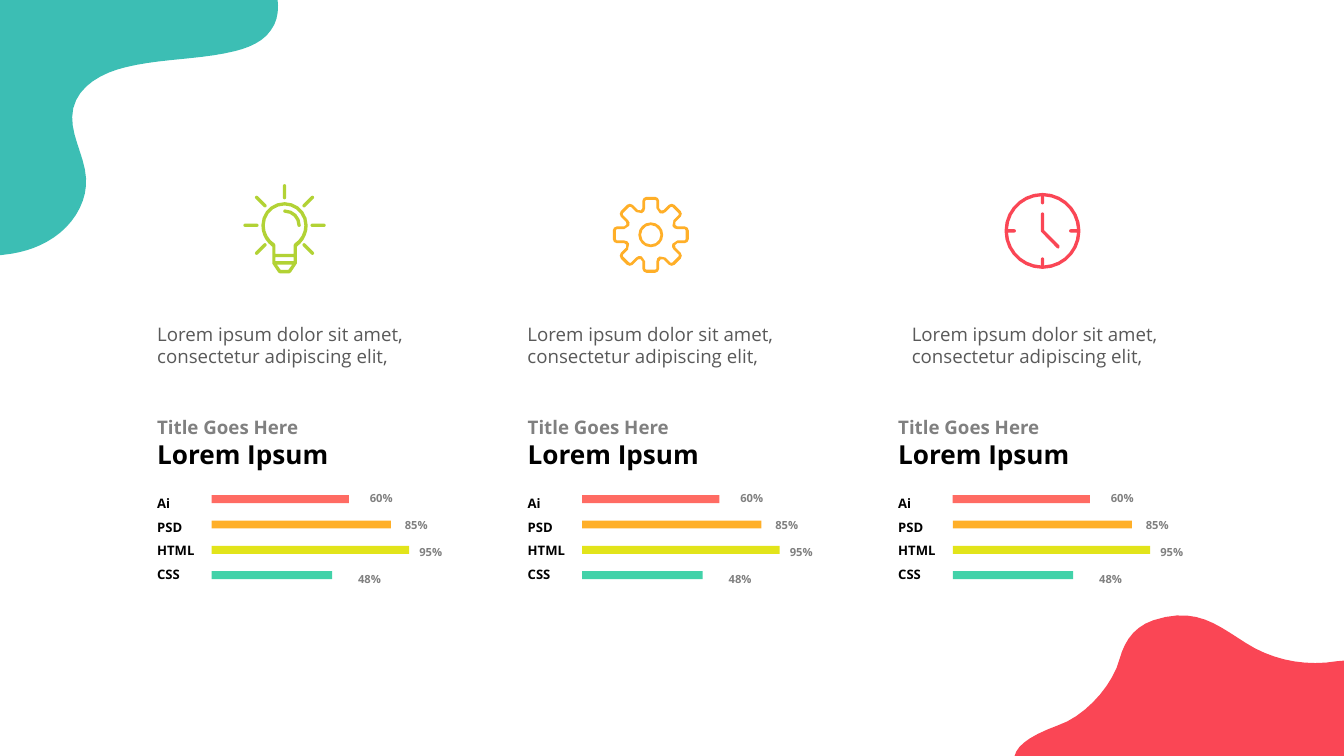
"""Build a slide with three icon columns, skill bars and two corner blobs."""
from dataclasses import dataclass
from math import cos, dist, radians, sin, sqrt

from pptx import Presentation
from pptx import util as u
from pptx.dml.color import RGBColor
from pptx.enum import shapes, text

Point = tuple[float, float]
Segment = tuple[float, ...]

FONT = "Open Sans"
BLACK = RGBColor(0x00, 0x00, 0x00)
GRAY = RGBColor(0x80, 0x80, 0x80)
DARK_GRAY = RGBColor(0x59, 0x59, 0x59)
CORAL = RGBColor(0xFF, 0x6B, 0x63)
ORANGE = RGBColor(0xFF, 0xAF, 0x28)
YELLOW = RGBColor(0xE2, 0xE4, 0x1A)
MINT = RGBColor(0x42, 0xD2, 0xA9)
LIME = RGBColor(0xB2, 0xD2, 0x35)
RED = RGBColor(0xFA, 0x46, 0x55)
TEAL = RGBColor(0x3C, 0xBE, 0xB4)


@dataclass(frozen=True)
class Line:
    text: str
    size: float
    color: RGBColor
    bold: bool = True
    indent: float = 0


@dataclass(frozen=True)
class Skill:
    name: str
    percent: str
    bar_width: float
    indent: float
    color: RGBColor


@dataclass(frozen=True)
class Outline:
    center: Point
    color: RGBColor
    contours: list[list[Point]]


SKILLS = [
    Skill("Ai", "60%", 147, 12.5, CORAL),
    Skill("PSD", "85%", 192, 50, ORANGE),
    Skill("HTML", "95%", 211.5, 65.5, YELLOW),
    Skill("CSS", "48%", 129, 0, MINT),
]
COLUMN_LEFT, COLUMN_STEP = 161.3, 397
BODY_LEFTS = [161.3, 558, 969.8]
BAR_TOP, BAR_STEP, BAR_HEIGHT = 530.6, 27.1, 8.6


def flatten(path: list[Segment]) -> list[Point]:
    """Turn points and cubic segments into a chain of points."""
    points = [path[0]]
    for segment in path[1:]:
        if len(segment) == 2:
            points.append(segment)
            continue
        nodes = [points[-1], segment[:2], segment[2:4], segment[4:]]
        steps = max(1, int(sqrt(dist(nodes[0], nodes[3]))))
        for step in range(1, steps + 1):
            t = step / steps
            weights = ((1 - t) ** 3, 3 * t * (1 - t) ** 2, 3 * t * t * (1 - t), t ** 3)
            points.append(tuple(sum(w * node[axis] for w, node in zip(weights, nodes))
                                for axis in (0, 1)))
    return points


def rotated(path: list[Segment], count: int) -> list[Point]:
    """Repeat a path counterclockwise around the origin."""
    points = []
    for index in range(count):
        c, s = cos(radians(360 * index / count)), sin(radians(360 * index / count))
        points += [(c * x + s * y, c * y - s * x) for x, y in flatten(path)]
    return points


def mirrored(path: list[Segment]) -> list[Point]:
    """Close a left half with its reflection."""
    half = flatten(path)
    return half + [(-x, y) for x, y in reversed(half)]


def circle(radius: float) -> list[Point]:
    """Return a circle around the origin."""
    handle = 0.55 * radius
    return rotated([(0, -radius), (-handle, -radius, -radius, -handle, -radius, 0)], 4)


def ray(angle: float, inner: float, outer: float, radius: float) -> list[Point]:
    """Return a round-ended bar along a radius."""
    ends = [(outer, range(-90, 91, 45)), (inner, range(90, 271, 45))]
    return [(distance * cos(radians(angle)) + radius * cos(radians(angle + turn)),
             distance * sin(radians(angle)) + radius * sin(radians(angle + turn)))
            for distance, turns in ends for turn in turns]


def bulb() -> list[list[Point]]:
    """Return the contours of the light bulb."""
    glass = mirrored([(0, -24.8), (-13.7, -24.8, -24.8, -13.7, -24.8, 0),
                      (-24.8, 9.4, -20.5, 17.3, -13.1, 23), (-13.1, 41), (-6.8, 50.4),
                      (-6.2, 51.3, -5.8, 51.5, -5, 51.5)])
    hollow = mirrored([(0, -21.2), (-11.7, -21.2, -21.2, -11.7, -21.2, 0),
                       (-21.2, 8.3, -17, 15.5, -10.4, 19.8),
                       (-9.7, 20.5, -9.7, 21, -9.7, 21.5), (-9.7, 30.6)])
    band = mirrored([(-9.7, 34.2), (-9.7, 38.5)])
    tip = mirrored([(-8.3, 42.1), (-4, 47.9)])
    shine = flatten([(0.4, -17), (9.8, -17, 17.4, -9.4, 17.4, 0), (16.9, 1.3), (15.6, 1.8),
                     (14.3, 1.3), (13.8, 0), (13.8, -7.4, 7.8, -13.4, 0.4, -13.4),
                     (-0.9, -13.9), (-1.4, -15.2), (-0.9, -16.5)])
    rays = [ray(45 * index, 29.6, 42.3, 1.8) for index in range(8) if index != 2]
    return [glass, hollow, band, tip, shine, *rays]


def gear() -> list[list[Point]]:
    """Return the contours of the gear."""
    rim = rotated([(9, -28.4), (9, -36.4), (9, -38.5, 6.8, -40.7, 4.7, -40.7), (-4.7, -40.7),
                   (-6.8, -40.7, -9, -38.5, -9, -36.4), (-9, -28.4), (-10.6, -26.2)], 8)
    inside = rotated([(6.1, -28.4), (6.1, -36.4), (4.7, -37.4), (-4.7, -37.4), (-6.1, -36.4),
                      (-6.1, -28.4), (-6.1, -26.2, -7.2, -24, -9.5, -23.2)], 8)
    return [rim, inside, circle(13.3), circle(10.4)]


def clock() -> list[list[Point]]:
    """Return the contours of the clock."""
    dial = rotated([(1.8, -37), (1.8, -30.2), (1.2, -28.9), (0, -28.4), (-1.2, -28.9),
                    (-1.8, -30.2), (-1.8, -37), (-21, -36, -36, -21, -37, -1.8)], 4)
    hands = [(-1.8, -18), (-1.8, 0), (-1.2, 1.2), (15.4, 18.3), (16.9, 18.9), (18.2, 17.6),
             (18, 15.7), (1.8, -0.6), (1.8, -18), (1.2, -19.3), (0, -19.8), (-1.2, -19.3)]
    return [circle(40.7), dial, hands]


def paint(shape, color: RGBColor) -> None:
    """Give a shape a plain fill."""
    shape.shadow.inherit = False
    shape.fill.solid()
    shape.fill.fore_color.rgb = color
    shape.line.fill.background()


def add_outline(slide, outline: Outline) -> None:
    """Draw all contours as one freeform."""
    left, top = outline.center
    chains = [[(100 * (x + left), 100 * (y + top)) for x, y in contour]
              for contour in outline.contours]
    builder = slide.shapes.build_freeform(*chains[0][0], scale=u.Pt(1) / 100)
    for index, chain in enumerate(chains):
        if index:
            builder.move_to(*chain[0])
        builder.add_line_segments(chain[1:], close=True)
    paint(builder.convert_to_shape(), outline.color)


def add_text(parent, lines: list[Line], *, left: float, top: float, width: float, height: float,
             spacing: float = 1, anchor=text.MSO_ANCHOR.TOP) -> None:
    """Add a wrapped text box."""
    box = parent.shapes.add_textbox(u.Pt(left), u.Pt(top), u.Pt(width), u.Pt(height))
    frame = box.text_frame
    frame.word_wrap = True
    frame.auto_size = text.MSO_AUTO_SIZE.SHAPE_TO_FIT_TEXT
    frame.vertical_anchor = anchor
    for index, line in enumerate(lines):
        paragraph = frame.add_paragraph() if index else frame.paragraphs[0]
        paragraph.line_spacing = spacing
        if line.indent:
            paragraph._p.get_or_add_pPr().set("marL", str(u.Pt(line.indent)))
        run = paragraph.add_run()
        run.text = line.text
        run.font.name, run.font.size, run.font.bold = FONT, u.Pt(line.size), line.bold
        run.font.color.rgb = line.color


def add_column(slide, left: float) -> None:
    """Add a group of headings, bars, names and percentages."""
    group = slide.shapes.add_group_shape()
    for index, skill in enumerate(SKILLS):
        bar = group.shapes.add_shape(shapes.MSO_SHAPE.RECTANGLE, u.Pt(left + 65.5),
                                     u.Pt(BAR_TOP + index * BAR_STEP),
                                     u.Pt(skill.bar_width), u.Pt(BAR_HEIGHT))
        paint(bar, skill.color)
    add_text(group, [Line("Title Goes Here", 20, GRAY), Line("Lorem Ipsum", 28, BLACK)],
             left=left, top=442, width=260.6, height=65.5)
    add_text(group, [Line(skill.name, 14, BLACK) for skill in SKILLS], left=left, top=519.8,
             width=80, height=106.6, spacing=1.5, anchor=text.MSO_ANCHOR.MIDDLE)
    add_text(group, [Line(skill.percent, 12, GRAY, indent=skill.indent) for skill in SKILLS],
             left=left + 215.3, top=509.8, width=152.6, height=119.5, spacing=2,
             anchor=text.MSO_ANCHOR.MIDDLE)


def main() -> None:
    """Build and save the slide."""
    presentation = Presentation()
    presentation.slide_width, presentation.slide_height = u.Pt(1440), u.Pt(810)
    slide = presentation.slides.add_slide(presentation.slide_layouts[6])
    for index, body_left in enumerate(BODY_LEFTS):
        add_text(slide, [Line("Lorem ipsum dolor sit amet, consectetur adipiscing elit,", 20,
                              DARK_GRAY, bold=False)],
                 left=body_left, top=342, width=293.8, height=55.4)
        add_column(slide, COLUMN_LEFT + index * COLUMN_STEP)
    red_blob = flatten([(1087, 810), (1090, 798.5, 1103, 788.4, 1134, 777),
                        (1163, 767, 1192, 734.4, 1199.5, 706.3),
                        (1204.6, 687.6, 1214.6, 671.8, 1235.5, 664.6),
                        (1281.6, 649.4, 1304, 669.6, 1335, 689),
                        (1363, 707, 1398, 714.2, 1432, 708.5), (1440, 707.8), (1440, 810)])
    teal_blob = flatten([(297.4, -1), (298.8, 10.8, 297.4, 23, 290.2, 32.4),
                         (282.2, 44.6, 266.4, 51.1, 252, 54.7),
                         (213.8, 64.1, 172.8, 62.6, 134.6, 72),
                         (110.2, 77.8, 84.2, 91.4, 78.5, 116),
                         (72.7, 141, 90.7, 165.6, 92.2, 190.8),
                         (93.6, 213, 82, 234.7, 64.8, 249),
                         (47.5, 263.5, 26, 270.7, 3.6, 273), (-1, 273.6), (-1, -1)])
    for outline in (Outline((697.3, 251.6), ORANGE, gear()),
                    Outline((304.9, 241.4), LIME, bulb()),
                    Outline((1117, 247.4), RED, clock()),
                    Outline((0, 0), RED, [red_blob]),
                    Outline((0, 0), TEAL, [teal_blob])):
        add_outline(slide, outline)
    presentation.save("out.pptx")


main()
